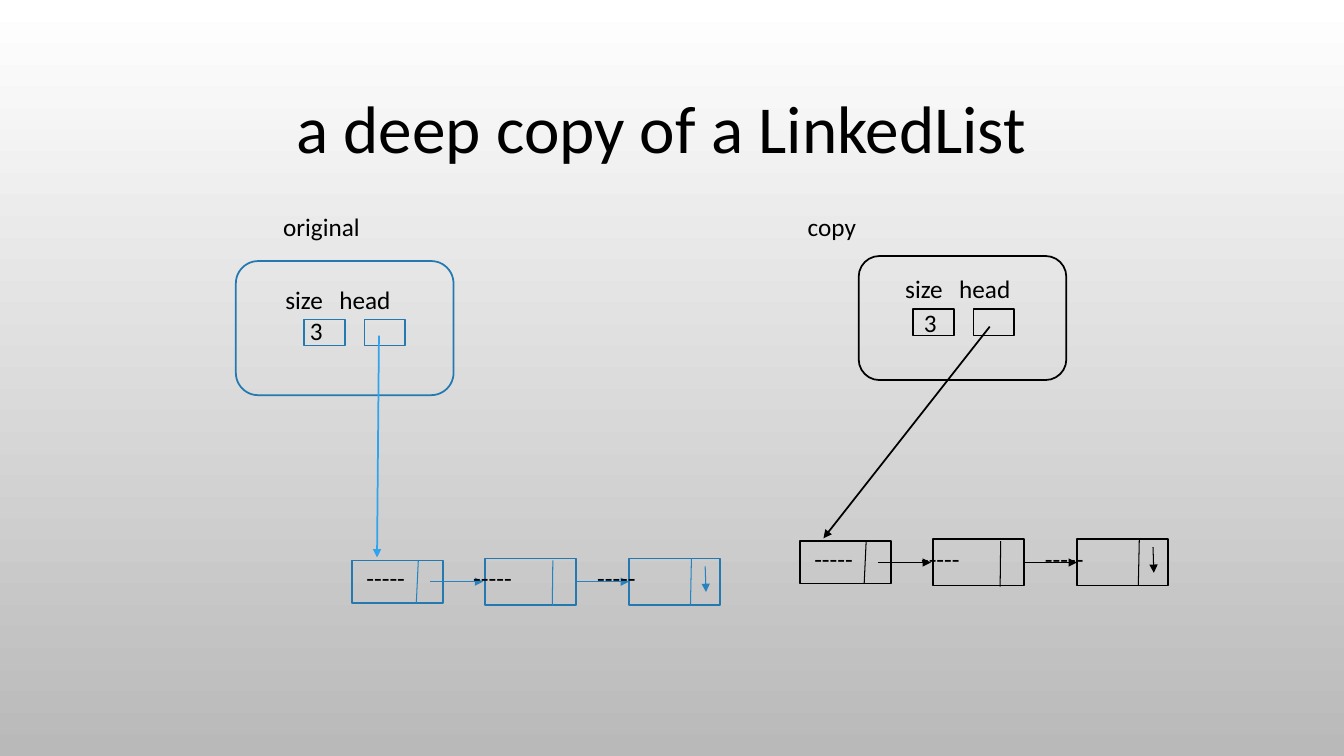
from dataclasses import dataclass
from typing import NamedTuple

from lxml.etree import SubElement
from pptx import Presentation
from pptx.dml.color import RGBColor
from pptx.enum.shapes import MSO_CONNECTOR, MSO_SHAPE
from pptx.oxml.ns import qn
from pptx.slide import Slide
from pptx.util import Pt


@dataclass(frozen=True)
class Theme:
    font: str = "Calibri"
    title_size: float = 48
    label_size: float = 18
    text: RGBColor = RGBColor(0x00, 0x00, 0x00)
    blue: RGBColor = RGBColor(0x23, 0x79, 0xB0)
    link_blue: RGBColor = RGBColor(0x26, 0x83, 0xBF)
    pointer_blue: RGBColor = RGBColor(0x2F, 0xA3, 0xEE)
    background_top: RGBColor = RGBColor(0xFF, 0xFF, 0xFF)
    background_bottom: RGBColor = RGBColor(0xB9, 0xB9, 0xB9)
    outline: float = 1.25
    thin: float = 0.75


THEME = Theme()


class Point(NamedTuple):
    x: float
    y: float


class Box(NamedTuple):
    left: float
    top: float
    width: float
    height: float


class Segment(NamedTuple):
    start: Point
    end: Point
    arrow: bool = False


@dataclass(frozen=True)
class LinkedListDiagram:
    caption: str
    caption_left: float
    frame: Box
    fields: Point  # top left of the size field
    labels: Point  # top left of the "size" label
    value: Point
    pointer: Segment
    chain: Point  # top left of the row of nodes
    outline_color: RGBColor
    link_color: RGBColor
    pointer_color: RGBColor


DIAGRAMS = (
    LinkedListDiagram(
        "original", 202.3, Box(168.5, 186.5, 155.5, 95.8),
        Point(217.4, 228.2), Point(203.8, 203), Point(221.4, 225.4),
        Segment(Point(270.7, 239.8), Point(269.3, 398.2), True),
        Point(251.3, 398.9), THEME.blue, THEME.link_blue, THEME.pointer_blue),
    LinkedListDiagram(
        "copy", 577, Box(613.4, 182.9, 148.3, 88.6),
        Point(652.3, 221), Point(646.6, 195.1), Point(660, 219.6),
        Segment(Point(707, 233.3), Point(588.2, 384.5), True),
        Point(571.2, 385.2), THEME.text, THEME.text, THEME.text),
)

CAPTION_TOP = 151.2
FIELD_PITCH = 43
FIELD_WIDTH, FIELD_HEIGHT = 29, 18.7
HEAD_LABEL_OFFSET = 38.6

# Parts of a chain, measured from its top left corner
NODES = (Box(0, 1.4, 65, 30.2), Box(95.2, 0, 65, 33.1), Box(198, 0, 65, 33.1))
CHAIN_LINES = (
    Segment(Point(47.5, 1.4), Point(46.1, 31.7)),
    Segment(Point(143.6, 1.4), Point(143.2, 33.8)),
    Segment(Point(242.6, 0), Point(241.9, 33.1)),
    Segment(Point(252.4, 5.6), Point(253, 24), True),
    Segment(Point(56.2, 16.6), Point(93.8, 16.6), True),
    Segment(Point(160.6, 16.6), Point(198, 16.6), True),
)
DATA_LEFTS = (10.4, 86.7, 175.2)
DATA_TOP = 2.9


def add_label(slide: Slide, text: str, left: float, top: float,
              width: float = 80, size: float = THEME.label_size) -> None:
    shape = slide.shapes.add_textbox(Pt(left), Pt(top), Pt(width), Pt(size * 1.22))
    text_frame = shape.text_frame
    text_frame.word_wrap = True
    text_frame.margin_left = text_frame.margin_right = 0
    text_frame.margin_top = text_frame.margin_bottom = 0
    text_frame.text = text
    font = text_frame.paragraphs[0].runs[0].font
    font.name, font.size = THEME.font, Pt(size)
    font.color.rgb = THEME.text


def add_outline(slide: Slide, box: Box, color: RGBColor,
                kind: MSO_SHAPE = MSO_SHAPE.RECTANGLE) -> None:
    shape = slide.shapes.add_shape(kind, *(Pt(length) for length in box))
    shape.shadow.inherit = False
    shape.fill.background()
    shape.line.color.rgb = color
    shape.line.width = Pt(THEME.outline)


def add_segment(slide: Slide, segment: Segment, color: RGBColor, width: float,
                origin: Point = Point(0, 0)) -> None:
    ends = [Pt(offset + base) for point in (segment.start, segment.end)
            for offset, base in zip(point, origin)]
    connector = slide.shapes.add_connector(MSO_CONNECTOR.STRAIGHT, *ends)
    connector.line.color.rgb = color
    connector.line.width = Pt(width)
    if segment.arrow:
        SubElement(connector.line._get_or_add_ln(), qn("a:tailEnd"), type="triangle")
    SubElement(connector._element.spPr, qn("a:effectLst"))


def add_diagram(slide: Slide, diagram: LinkedListDiagram) -> None:
    # List object with its two fields
    add_label(slide, diagram.caption, diagram.caption_left, CAPTION_TOP)
    add_outline(slide, diagram.frame, diagram.outline_color, MSO_SHAPE.ROUNDED_RECTANGLE)
    for column, name in enumerate(("size", "head")):
        add_outline(slide, Box(diagram.fields.x + column * FIELD_PITCH, diagram.fields.y,
                               FIELD_WIDTH, FIELD_HEIGHT), diagram.outline_color)
        add_label(slide, name, diagram.labels.x + column * HEAD_LABEL_OFFSET,
                  diagram.labels.y, 45)
    add_label(slide, "3", *diagram.value, 20)
    add_segment(slide, diagram.pointer, diagram.pointer_color, THEME.outline)

    # Chain of nodes
    origin = diagram.chain
    for node in NODES:
        add_outline(slide, node._replace(left=origin.x + node.left, top=origin.y + node.top),
                    diagram.outline_color)
    for segment in CHAIN_LINES:
        add_segment(slide, segment, diagram.link_color, THEME.thin, origin)
    for left in DATA_LEFTS:
        add_label(slide, "-----", origin.x + left, origin.y + DATA_TOP, 40)


def set_background(slide: Slide) -> None:
    fill = slide.background.fill
    fill.gradient()
    fill.gradient_angle = 270
    colors = (THEME.background_top, THEME.background_bottom)
    for position, (stop, color) in enumerate(zip(fill.gradient_stops, colors)):
        stop.position = position
        stop.color.rgb = color


def main() -> None:
    presentation = Presentation()
    presentation.slide_width, presentation.slide_height = Pt(960), Pt(540)
    slide = presentation.slides.add_slide(presentation.slide_layouts[6])
    set_background(slide)
    add_label(slide, "a deep copy of a LinkedList", 211.7, 61.9, 581, THEME.title_size)
    for diagram in DIAGRAMS:
        add_diagram(slide, diagram)
    presentation.save("out.pptx")


if __name__ == "__main__":
    main()
